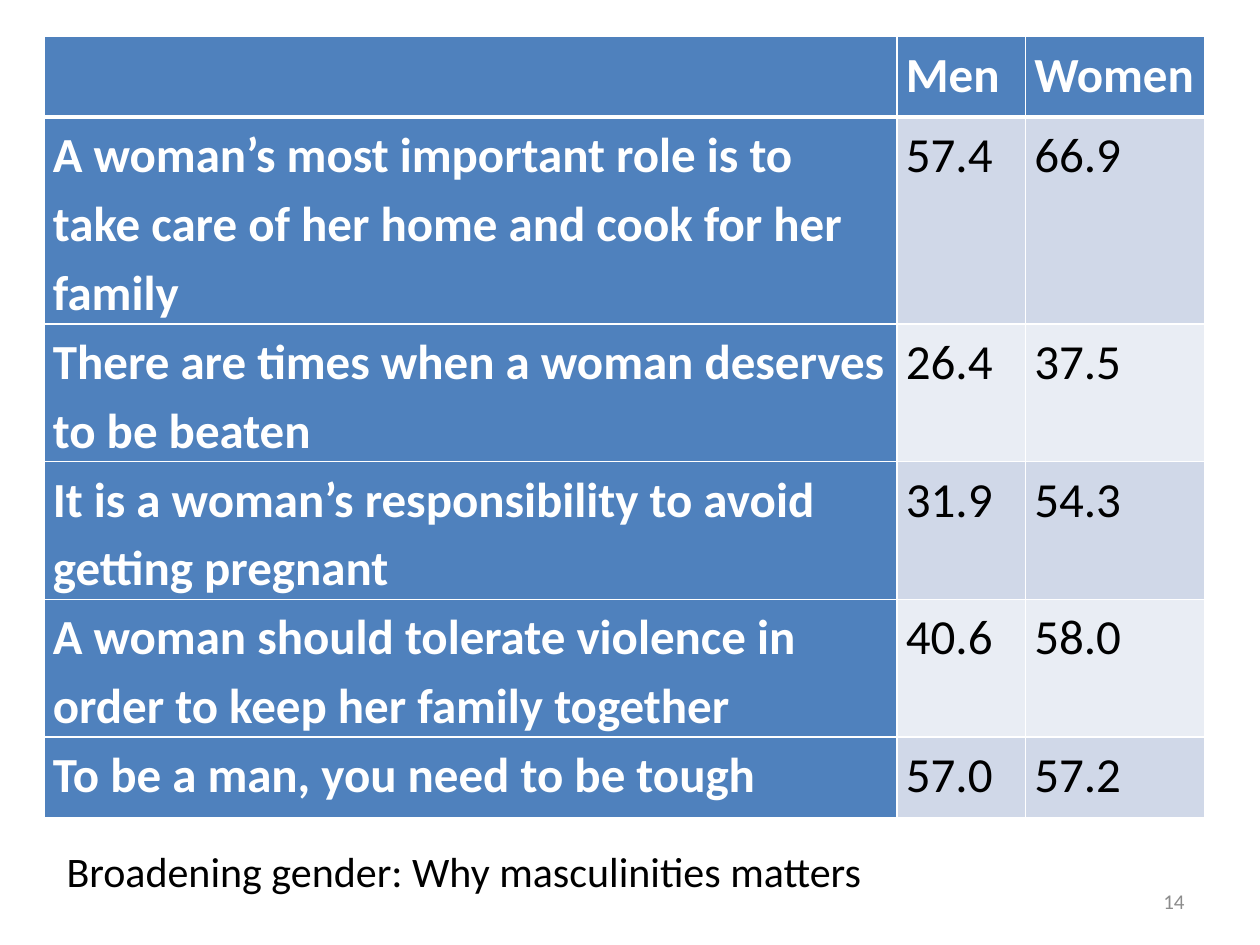
from lxml import etree
from pptx import Presentation
from pptx.dml.color import RGBColor
from pptx.enum.text import MSO_ANCHOR, PP_ALIGN
from pptx.oxml.ns import qn
from pptx.util import Inches, Pt

RIGHT = PP_ALIGN.RIGHT
TOP, MIDDLE = MSO_ANCHOR.TOP, MSO_ANCHOR.MIDDLE

THEME = {
    "font": "Calibri",
    "head": "4F81BD", "bands": ("D0D8E8", "E9EDF4"),
    "white": "FFFFFF", "black": "000000", "gray": "8C8C8C",
    "table_size": 28, "caption_size": 24, "number_size": 12,
}


def style_run(p, size, color, bold=False):
    for r in p.runs:
        r.font.name = THEME["font"]
        r.font.size = Pt(size)
        r.font.bold = bold
        r.font.color.rgb = RGBColor.from_string(color)


def add_border(cell, side, width):
    ln = etree.SubElement(cell._tc.get_or_add_tcPr(), qn("a:" + side), w=str(Pt(width)))
    fill = etree.SubElement(ln, qn("a:solidFill"))
    etree.SubElement(fill, qn("a:srgbClr"), val=THEME["white"])


prs = Presentation()
prs.slide_width, prs.slide_height = Inches(10), Inches(7.5)
s = prs.slides.add_slide(prs.slide_layouts[6])

# Survey table
rows = [
    ("", "Men", "Women"),
    ("A woman’s most important role is to take care of her home and cook for her family",
     "57.4", "66.9"),
    ("There are times when a woman deserves to be beaten", "26.4", "37.5"),
    ("It is a woman’s responsibility to avoid getting pregnant", "31.9", "54.3"),
    ("A woman should tolerate violence in order to keep her family together",
     "40.6", "58.0"),
    ("To be a man, you need to be tough", "57.0", "57.2"),
]
col_widths = (6.77, 1.02, 1.42)
row_height = 0.64

table = s.shapes.add_table(
    len(rows), len(col_widths), Inches(0.35), Inches(0.29),
    Inches(sum(col_widths)), Inches(row_height * len(rows))).table
for col, width in zip(table.columns, col_widths):
    col.width = Inches(width)

for i, row in enumerate(rows):
    table.rows[i].height = Inches(row_height)
    for j, text in enumerate(row):
        cell = table.cell(i, j)
        is_head = i == 0 or j == 0
        cell.margin_left = cell.margin_right = Inches(0.07)
        cell.margin_top = cell.margin_bottom = 0
        cell.vertical_anchor = TOP

        # Borders come before the fill in the cell properties
        for side in ("lnL", "lnR", "lnT", "lnB"):
            heavy = (i, side) in ((0, "lnB"), (1, "lnT"))
            add_border(cell, side, 3 if heavy else 1)
        cell.fill.solid()
        cell.fill.fore_color.rgb = RGBColor.from_string(
            THEME["head"] if is_head else THEME["bands"][(i - 1) % 2])

        if text:
            p = cell.text_frame.paragraphs[0]
            p.text = text
            p.line_spacing = 1.15
            style_run(p, THEME["table_size"],
                      THEME["white"] if is_head else THEME["black"], is_head)

# Caption
tf = s.shapes.add_textbox(Inches(0.43), Inches(6.66), Inches(8.9), Inches(0.5)).text_frame
tf.word_wrap = True
tf.text = "Broadening gender: Why masculinities matters"
style_run(tf.paragraphs[0], THEME["caption_size"], THEME["black"])

# Slide number
tf = s.shapes.add_textbox(Inches(7.17), Inches(6.95), Inches(2.33), Inches(0.4)).text_frame
tf.word_wrap = True
tf.vertical_anchor = MIDDLE
tf.text = "14"
tf.paragraphs[0].alignment = RIGHT
style_run(tf.paragraphs[0], THEME["number_size"], THEME["gray"])

prs.save("out.pptx")
